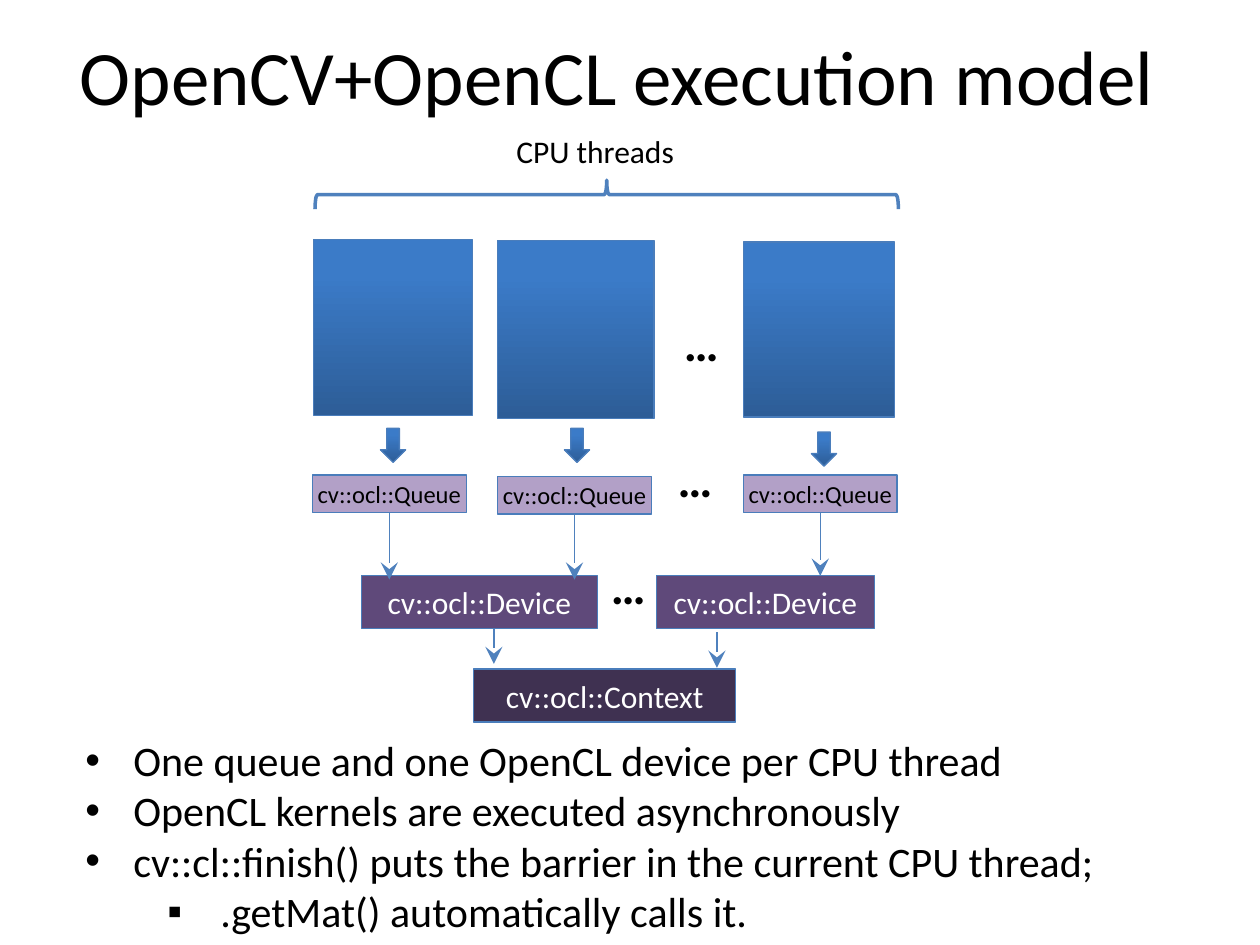
from copy import deepcopy

from lxml import etree
from pptx import Presentation
from pptx.dml.color import RGBColor
from pptx.enum.dml import MSO_FILL
from pptx.enum.shapes import MSO_CONNECTOR, MSO_SHAPE
from pptx.enum.text import MSO_ANCHOR, PP_ALIGN
from pptx.oxml.ns import qn
from pptx.util import Inches, Pt

BLACK = RGBColor(0x00, 0x00, 0x00)
WHITE = RGBColor(0xFF, 0xFF, 0xFF)
OUTLINE = RGBColor(0x4A, 0x7D, 0xBB)
ACCENT = RGBColor(0x4F, 0x81, 0xBD)
LILAC = RGBColor(0xB2, 0xA0, 0xC7)
PURPLE = RGBColor(0x5F, 0x49, 0x7A)
DARK_PURPLE = RGBColor(0x3F, 0x31, 0x51)
BLUES = [(0, RGBColor(0x2D, 0x5D, 0x97)),
         (0.8, RGBColor(0x3B, 0x7B, 0xC8)),
         (1, RGBColor(0x3A, 0x7C, 0xCA))]


class Diagram:
    """Draws elements on one slide in a shared style."""

    font = "Calibri"

    def __init__(self, slide):
        self.slide = slide

    def style(self, p, size, color=BLACK, bold=False):
        p.font.name, p.font.size = self.font, Pt(size)
        p.font.bold, p.font.color.rgb = bold, color

    def title(self, text, x, y, w, h):
        sp = self.slide.shapes.title
        sp.left, sp.top, sp.width, sp.height = map(Inches, (x, y, w, h))
        tf = sp.text_frame
        tf.text = text
        tf.vertical_anchor = MSO_ANCHOR.MIDDLE
        tf.paragraphs[0].alignment = PP_ALIGN.CENTER
        self.style(tf.paragraphs[0], 44)

    def label(self, text, x, y, w, h, size=18, bold=False):
        sp = self.slide.shapes.add_textbox(*map(Inches, (x, y, w, h)))
        tf = sp.text_frame
        tf.word_wrap = True
        tf.text = text
        self.style(tf.paragraphs[0], size, bold=bold)

    def bullets(self, items, x, y, w, h):
        """Items are (text, level, bullet, left margin, hanging indent)."""
        sp = self.slide.shapes.add_textbox(*map(Inches, (x, y, w, h)))
        tf = sp.text_frame
        tf.word_wrap = True
        for i, (text, level, bullet, margin, hang) in enumerate(items):
            p = tf.add_paragraph() if i else tf.paragraphs[0]
            p.text, p.level = text, level
            self.style(p, 24)
            pPr = p._p.get_or_add_pPr()
            pPr.set("marL", str(Inches(margin)))
            pPr.set("indent", str(-Inches(hang)))
            font = etree.Element(qn("a:buFont"), typeface="Arial")
            char = etree.Element(qn("a:buChar"), char=bullet)
            pPr[0:0] = [font, char]

    def shape(self, kind, x, y, w, h, line=OUTLINE, line_width=0.75):
        sp = self.slide.shapes.add_shape(kind, *map(Inches, (x, y, w, h)))
        sp.shadow.inherit = False
        sp.line.color.rgb = line
        sp.line.width = Pt(line_width)
        return sp

    def gradient(self, kind, x, y, w, h):
        sp = self.shape(kind, x, y, w, h)
        sp.fill.gradient()
        sp.fill.gradient_angle = 90
        stops = sp._element.spPr.find(qn("a:gradFill")).find(qn("a:gsLst"))
        stops.append(deepcopy(stops[-1]))
        for stop, (position, color) in zip(sp.fill.gradient_stops, BLUES):
            stop.position = position
            stop.color.rgb = color

    def box(self, text, x, y, w, h, fill, size=18, color=WHITE, margins=True):
        sp = self.shape(MSO_SHAPE.RECTANGLE, x, y, w, h)
        sp.fill.solid()
        sp.fill.fore_color.rgb = fill
        tf = sp.text_frame
        tf.text = text
        tf.vertical_anchor = MSO_ANCHOR.MIDDLE
        if not margins:
            tf.margin_left = tf.margin_right = 0
            tf.margin_top = tf.margin_bottom = 0
        tf.paragraphs[0].alignment = PP_ALIGN.CENTER
        self.style(tf.paragraphs[0], size, color)
        return sp

    def brace(self, x, y, w, h):
        sp = self.shape(MSO_SHAPE.LEFT_BRACE, x, y, w, h, ACCENT, 2)
        sp.rotation = 90
        sp.fill.background()

    def arrow(self, x, y1, y2, source=None):
        """Vertical arrow, joined to the bottom of source when given."""
        line = self.slide.shapes.add_connector(
            MSO_CONNECTOR.STRAIGHT, *map(Inches, (x, y1, x, y2)))
        if source is not None:
            line.begin_connect(source, 2)
        line.line.color.rgb = ACCENT
        line.line.width = Pt(0.75)
        etree.SubElement(line.line._get_or_add_ln(), qn("a:tailEnd"),
                         type="stealth", w="lg", len="lg")
        etree.SubElement(line._element.spPr, qn("a:effectLst"))


def main():
    prs = Presentation()
    prs.slide_width, prs.slide_height = Inches(10), Inches(7.5)
    s = prs.slides.add_slide(prs.slide_layouts[5])
    d = Diagram(s)

    d.title("OpenCV+OpenCL execution model", 0.4, 0.09, 9, 1.01)
    d.bullets([
        ("One queue and one OpenCL device per CPU thread", 1, "•", 0.81, 0.38),
        ("OpenCL kernels are executed asynchronously", 1, "•", 0.81, 0.38),
        ("cv::cl::finish() puts the barrier in the current CPU thread;",
         1, "•", 0.81, 0.38),
        (".getMat() automatically calls it.", 2, "▪", 1.5, 0.42),
    ], 0.15, 5.78, 10.42, 1.72)

    d.label("CPU threads", 4, 1, 1.66, 0.4)
    d.brace(4.7, -0.77, 0.23, 4.63)

    for x, y, w, h in [(2.49, 1.9, 1.26, 1.4), (3.95, 1.91, 1.24, 1.41),
                       (5.9, 1.92, 1.2, 1.39)]:
        d.gradient(MSO_SHAPE.RECTANGLE, x, y, w, h)
    for x, y in [(3.02, 3.4), (4.48, 3.4), (6.44, 3.43)]:
        d.gradient(MSO_SHAPE.DOWN_ARROW, x, y, 0.2, 0.27)

    for x, w in [(2.87, 1.87), (5.21, 1.73)]:
        d.box("cv::ocl::Device", x, 4.57, w, 0.42, PURPLE)
    d.box("cv::ocl::Context", 3.76, 5.31, 2.08, 0.42, DARK_PURPLE)

    queue_w, queue_h = 1.22, 0.3
    for x, y, end in [(2.48, 3.77, 4.6), (3.95, 3.78, 4.6), (5.9, 3.77, 4.57)]:
        queue = d.box("cv::ocl::Queue", x, y, queue_w, queue_h, LILAC,
                      size=14, color=BLACK, margins=False)
        d.arrow(x + queue_w / 2, y + queue_h, end, queue)
    for x, start, end in [(3.92, 4.99, 5.27), (5.69, 5.02, 5.3)]:
        d.arrow(x, start, end)

    for x, y in [(5.33, 2.43), (5.28, 3.51), (4.75, 4.36)]:
        d.label("…", x, y, 0.42, 0.57, size=28, bold=True)

    prs.save("out.pptx")


if __name__ == "__main__":
    main()
